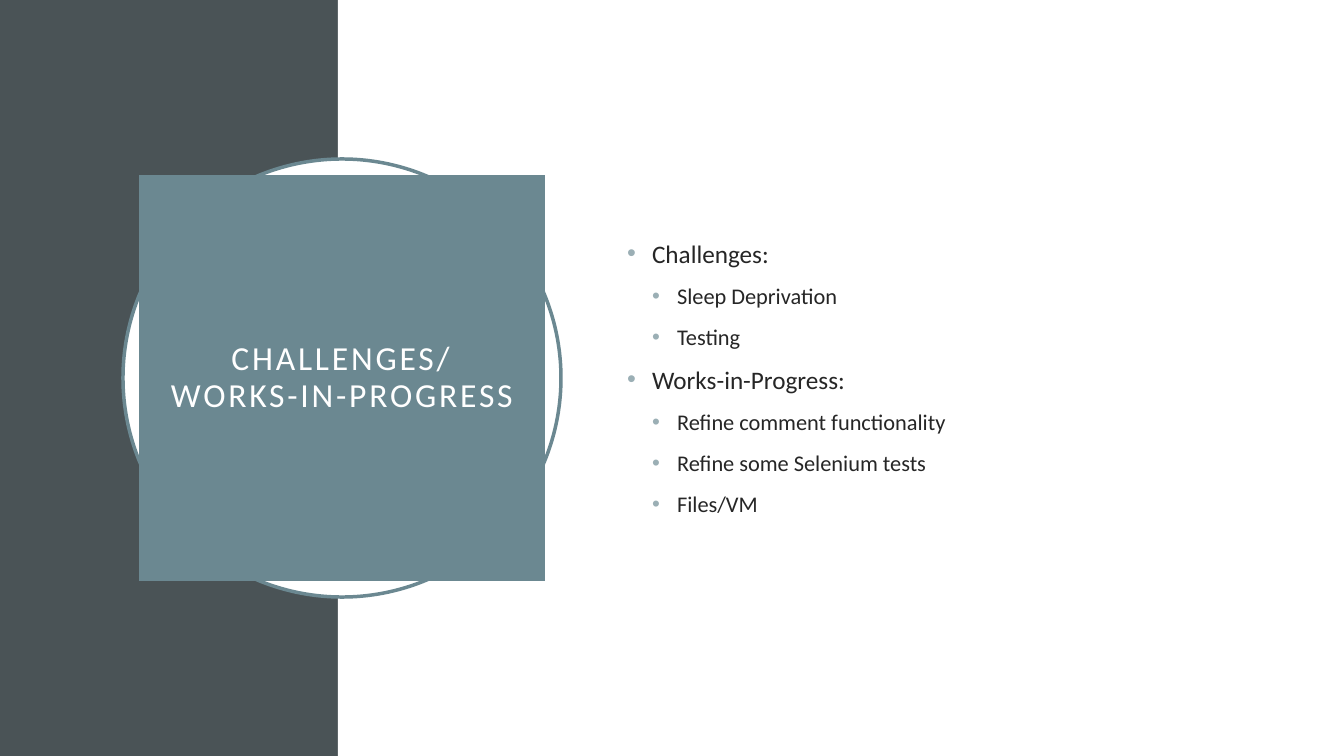
"""Build the slide on challenges and works in progress."""
from dataclasses import dataclass

from lxml.etree import SubElement
from pptx import Presentation
from pptx.dml.color import RGBColor
from pptx.enum.shapes import MSO_SHAPE as Shape
from pptx.enum.text import MSO_ANCHOR as Anchor, MSO_AUTO_SIZE as AutoSize, PP_ALIGN as Align
from pptx.oxml.ns import qn
from pptx.util import Pt


@dataclass(frozen=True)
class Theme:
    font: str = "Calibri"
    slate: str = "4A5356"
    teal: str = "6B8891"
    white: str = "FFFFFF"
    ink: str = "262626"
    bullet: str = "9BAFB5"
    title_size: int = 24
    list_sizes: tuple = (18, 16)


def px(length):
    return round(length * 914400 / 100.8)


def format_font(font, size, color):
    font.name = theme.font
    font.size = Pt(size)
    font.bold = False
    font.color.rgb = RGBColor.from_string(color)


theme = Theme()
WIDTH, HEIGHT, PANEL = 1344, 756, 338
INDENT = 25

presentation = Presentation()
presentation.slide_width, presentation.slide_height = px(WIDTH), px(HEIGHT)
slide = presentation.slides.add_slide(presentation.slide_layouts[1])
title, body = slide.placeholders

backdrop = [
    (Shape.RECTANGLE, (0, 0, PANEL, HEIGHT), theme.slate, None),
    (Shape.RECTANGLE, (PANEL, 0, WIDTH - PANEL, HEIGHT), theme.white, None),
    (Shape.OVAL, (123, 159, 438, 438), theme.white, theme.teal),
]
for kind, box, fill, outline in backdrop:
    shape = slide.shapes.add_shape(kind, *map(px, box))
    shape.shadow.inherit = False
    shape.fill.solid()
    shape.fill.fore_color.rgb = RGBColor.from_string(fill)
    if outline:
        shape.line.color.rgb = RGBColor.from_string(outline)
        shape.line.width = Pt(2.5)
    else:
        shape.line.fill.background()
    title.element.addprevious(shape.element)

for placeholder, box in ((title, (139, 175, 406, 406)), (body, (617, 154, 587, 447))):
    placeholder.left, placeholder.top, placeholder.width, placeholder.height = map(px, box)
    placeholder.text_frame.vertical_anchor = Anchor.MIDDLE
    placeholder.text_frame.word_wrap = True
    placeholder.text_frame.auto_size = AutoSize.NONE

title.fill.solid()
title.fill.fore_color.rgb = RGBColor.from_string(theme.teal)
frame = title.text_frame
frame.margin_left = frame.margin_top = frame.margin_right = frame.margin_bottom = px(20)
paragraph = frame.paragraphs[0]
paragraph.text = "CHALLENGES/\vWORKS-IN-PROGRESS"
paragraph.alignment = Align.CENTER
paragraph.line_spacing = 0.9
for run in paragraph.runs:
    format_font(run.font, theme.title_size, theme.white)
    run.font._element.set("spc", "200")

items = [
    (0, "Challenges:"),
    (1, "Sleep Deprivation"),
    (1, "Testing"),
    (0, "Works-in-Progress:"),
    (1, "Refine comment functionality"),
    (1, "Refine some Selenium tests"),
    (1, "Files/VM"),
]
body.text_frame.text = "\n".join(text for level, text in items)
for paragraph, (level, text) in zip(body.text_frame.paragraphs, items):
    paragraph.level = level
    paragraph.space_before = Pt(10)
    format_font(paragraph.runs[0].font, theme.list_sizes[level], theme.ink)
    properties = paragraph._p.get_or_add_pPr()
    properties.set("marL", str(px(INDENT * (level + 1))))
    properties.set("indent", str(px(-INDENT)))
    bullet_color = SubElement(properties, qn("a:buClr"))
    SubElement(bullet_color, qn("a:srgbClr"), val=theme.bullet)
    SubElement(properties, qn("a:buFont"), typeface="Arial")
    SubElement(properties, qn("a:buChar"), char="•")

presentation.save("out.pptx")
